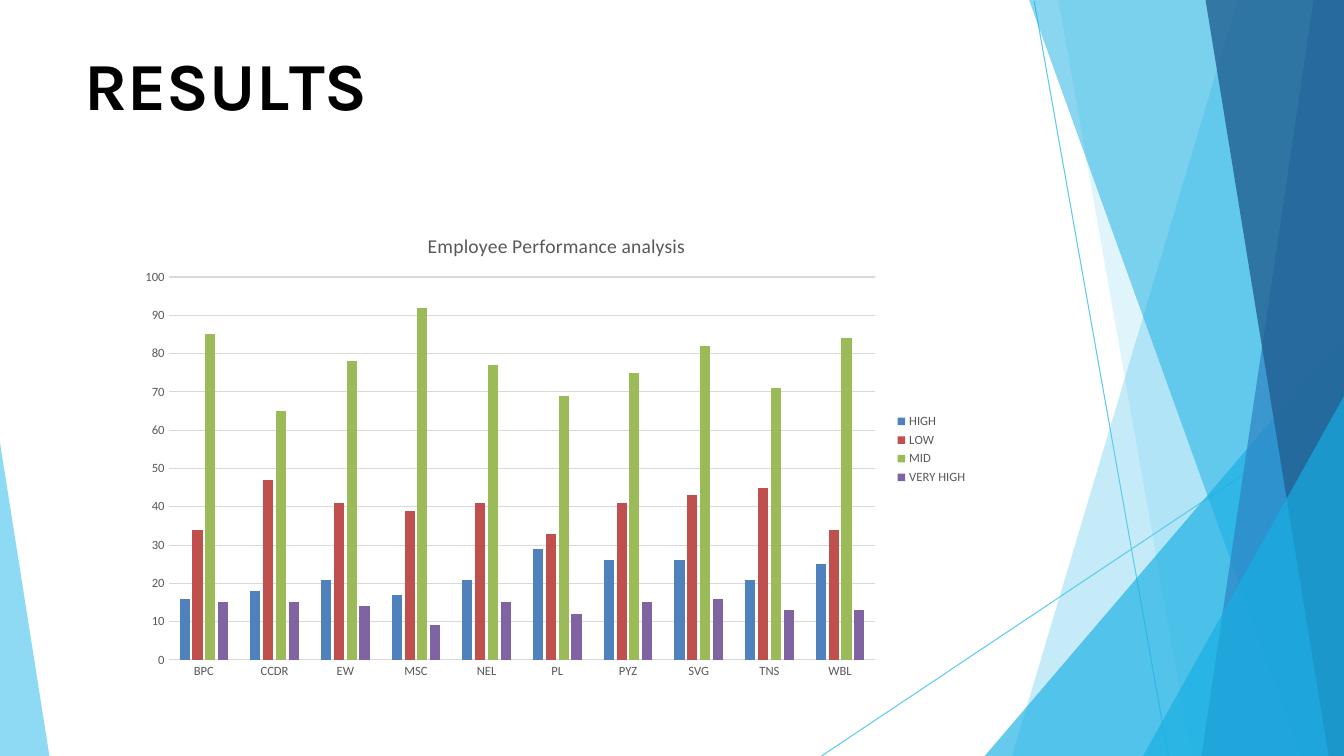
from pptx import Presentation
from pptx.chart.data import CategoryChartData as ChartData
from pptx.dml.color import RGBColor as RGB
from pptx.enum.chart import XL_CHART_TYPE as ChartType, XL_LEGEND_POSITION as LegendPos
from pptx.enum.chart import XL_TICK_MARK as Tick
from pptx.enum.shapes import MSO_CONNECTOR as Connector
from pptx.enum.text import MSO_ANCHOR as Anchor, MSO_AUTO_SIZE as AutoSize, PP_ALIGN as Align
from pptx.oxml.ns import qn
from pptx.util import Pt
from lxml.etree import SubElement, Element

COLORS = {
    "black": "000000", "text": "595959", "grid": "D9D9D9",
    "sky": "5FCAEE", "cyan": "17AFE3", "blue": "2D83C3", "navy": "226192",
    "HIGH": "4F81BD", "LOW": "C0504D", "MID": "9BBB59", "VERY HIGH": "8064A2",
}
W, H = 960, 540

LINES = [((738.7, 0.7), (834.5, H)), ((W, 290.9), (586.8, H))]
FACETS = [
    ("sky", 36, [(W, 0), (884.2, 0), (722.9, H), (W, H)]),
    ("sky", 20, [(W, 0), (756, 0), (851, H), (W, H)]),
    ("cyan", 66, [(W, 239.8), (703.4, H), (W, H)]),
    ("cyan", 50, [(W, 0), (735.1, 0), (929.5, H), (W, H)]),
    ("blue", 70, [(W, 0), (938.2, 0), (858.2, H), (W, H)]),
    ("navy", 80, [(W, 0), (861.1, 0), (949, H), (W, H)]),
    ("cyan", 66, [(W, 283), (816.5, H), (W, H)]),
    ("sky", 70, [(0, 316.1), (0, H), (35.3, H)]),
]
TITLE_RUNS = [("R", 0), ("E", -0.4), ("S", 0.1), ("U", -0.3), ("L", -4), ("TS", 0)]
CATEGORIES = ["BPC", "CCDR", "EW", "MSC", "NEL", "PL", "PYZ", "SVG", "TNS", "WBL"]
SERIES = {
    "HIGH": [16, 18, 21, 17, 21, 29, 26, 26, 21, 25],
    "LOW": [34, 47, 41, 39, 41, 33, 41, 43, 45, 34],
    "MID": [85, 65, 78, 92, 77, 69, 75, 82, 71, 84],
    "VERY HIGH": [15, 15, 14, 9, 15, 12, 15, 16, 13, 13],
}


class Deck:
    def __init__(self):
        self.prs = Presentation()
        self.prs.slide_width, self.prs.slide_height = Pt(W), Pt(H)
        self.s = self.prs.slides.add_slide(self.prs.slide_layouts[5])
        self.heading_font, self.chart_font = "Karla", "Calibri"

    def color(self, name):
        return RGB.from_string(COLORS[name])

    def font(self, font, size, color, name, bold=False):
        font.size, font.name, font.bold = Pt(size), name, bold
        font.color.rgb = self.color(color)

    def stroke(self, line, color, width=0.75):
        line.color.rgb = self.color(color)
        line.width = Pt(width)

    def line(self, start, end):
        c = self.s.shapes.add_connector(Connector.STRAIGHT, *map(Pt, start + end))
        self.stroke(c.line, "sky")
        SubElement(c._element.spPr, qn("a:effectLst"))

    def facet(self, color, opacity, points):
        points = [(Pt(x), Pt(y)) for x, y in points]
        fb = self.s.shapes.build_freeform(*points[0])
        fb.add_line_segments(points[1:], close=True)
        sp = fb.convert_to_shape()
        sp.shadow.inherit = False
        sp.fill.solid()
        sp.fill.fore_color.rgb = self.color(color)
        sp.line.fill.background()
        clr = sp._element.spPr.find(".//" + qn("a:srgbClr"))
        SubElement(clr, qn("a:alpha"), val=str(opacity * 1000))

    def title(self, runs, x, y, w, h):
        sp = self.s.shapes.title
        sp.left, sp.top, sp.width, sp.height = map(Pt, (x, y, w, h))
        self.s.shapes._spTree.append(sp._element)
        tf = sp.text_frame
        tf.margin_left = tf.margin_top = tf.margin_right = tf.margin_bottom = 0
        tf.vertical_anchor = Anchor.MIDDLE
        tf.auto_size = AutoSize.SHAPE_TO_FIT_TEXT
        p = tf.paragraphs[0]
        p.alignment = Align.LEFT
        for text, spacing in runs:
            r = p.add_run()
            r.text = text
            self.font(r.font, 48, "black", self.heading_font, True)
            r.font._element.set("spc", str(round(spacing * 100)))

    def layout(self, parent, index, **values):
        for old in parent.findall(qn("c:layout")):
            parent.remove(old)
        layout = Element(qn("c:layout"))
        manual = SubElement(layout, qn("c:manualLayout"))
        for tag, val in values.items():
            SubElement(manual, qn("c:" + tag), val=str(val))
        parent.insert(index, layout)

    def axis(self, axis):
        axis.major_tick_mark = axis.minor_tick_mark = Tick.NONE
        self.font(axis.tick_labels.font, 9, "text", self.chart_font)

    def chart(self, heading, categories, series, x, y, w, h):
        data = ChartData()
        data.categories = categories
        for name, values in series.items():
            data.add_series(name, values)
        chart = self.s.shapes.add_chart(
            ChartType.COLUMN_CLUSTERED, *map(Pt, (x, y, w, h)), data).chart
        self.font(chart.font, 10, "black", self.chart_font)
        chart.has_title = True
        tf = chart.chart_title.text_frame
        tf.text = heading
        self.font(tf.paragraphs[0].runs[0].font, 14, "text", self.chart_font)
        self.layout(chart.chart_title._element, 1, xMode="edge", yMode="edge", x=0.35, y=0.04)

        chart.has_legend = True
        chart.legend.position = LegendPos.RIGHT
        chart.legend.include_in_layout = False
        self.font(chart.legend.font, 9, "text", self.chart_font)

        cat, val = chart.category_axis, chart.value_axis
        self.axis(cat)
        self.axis(val)
        self.stroke(cat.format.line, "grid")
        val.format.line.fill.background()
        self.stroke(val.major_gridlines.format.line, "grid")
        val.minimum_scale, val.maximum_scale, val.major_unit = 0, 100, 10

        plot = chart.plots[0]
        plot.gap_width, plot.overlap, plot.vary_by_categories = 219, -27, False
        for ser in plot.series:
            ser.format.fill.solid()
            ser.format.fill.fore_color.rgb = self.color(ser.name)
        self.layout(plot._element.getparent(), 0, layoutTarget="inner", xMode="edge",
                    yMode="edge", x=0.05, y=0.14, w=0.83, h=0.8)


def main():
    deck = Deck()
    for start, end in LINES:
        deck.line(start, end)
    for facet in FACETS:
        deck.facet(*facet)
    deck.title(TITLE_RUNS, 60, 30, 841, 60)
    deck.chart("Employee Performance analysis", CATEGORIES, SERIES, 90, 150, 608.4, 342)
    deck.prs.save("out.pptx")


if __name__ == "__main__":
    main()
